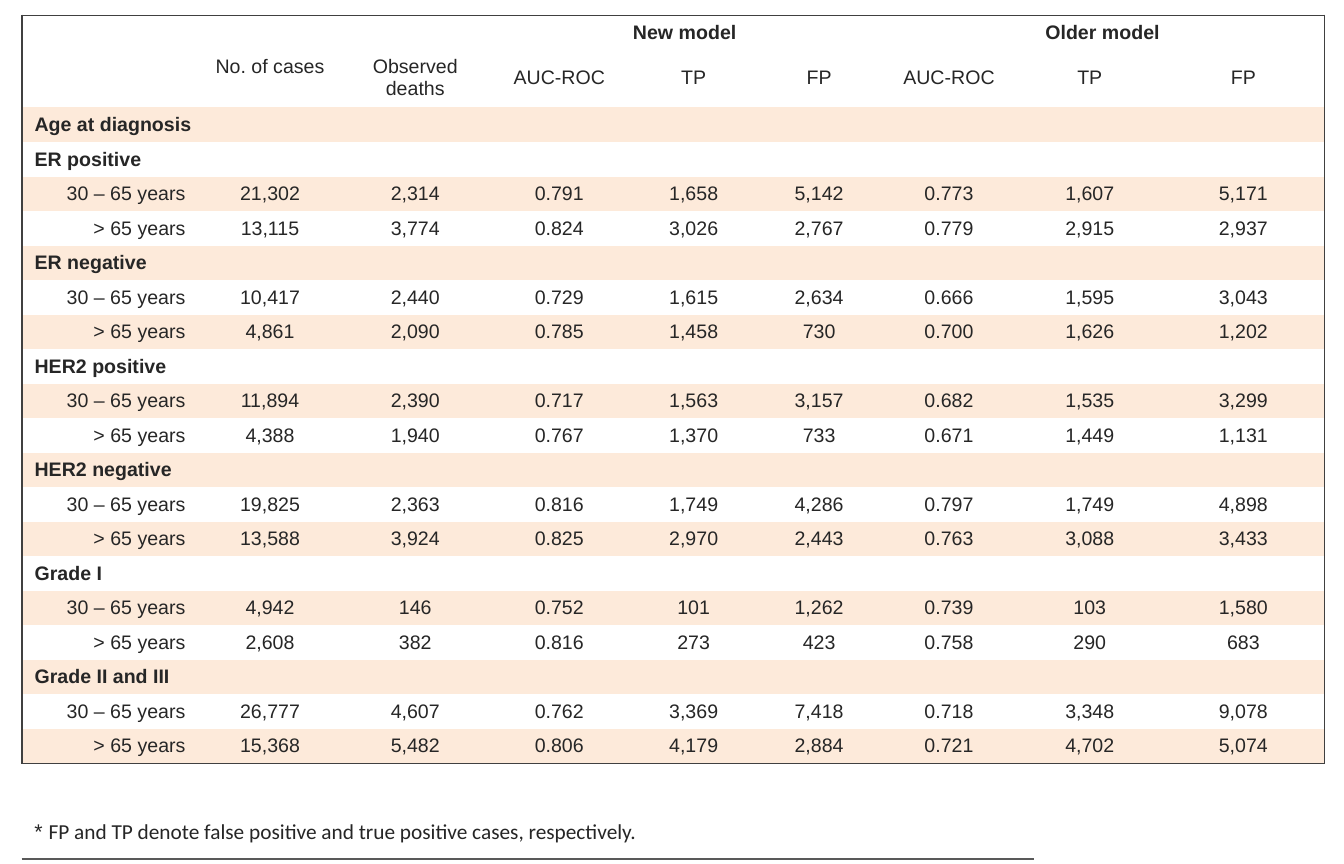
import dataclasses

import lxml.etree
import pptx
import pptx.dml.color
import pptx.enum.shapes
import pptx.enum.text
import pptx.oxml.ns
import pptx.util

Inches = pptx.util.Inches
Align = pptx.enum.text.PP_ALIGN
Anchor = pptx.enum.text.MSO_ANCHOR
qn = pptx.oxml.ns.qn


@dataclasses.dataclass(frozen=True)
class Theme:
    ink: str = "262626"
    band: str = "FDEADA"
    frame: str = "404040"
    rule: str = "595959"
    face: str = "Arial"
    note_face: str = "Calibri"
    size: int = 11
    note_size: int = 12
    edge: float = 1
    thin: float = 0.75


THEME = Theme()
LEFT = 0.17
WIDTHS = [1.38, 1.12, 1.15, 1.1, 1, 0.96, 1.07, 1.13, 1.27]
LAST = len(WIDTHS) - 1
PITCH = 0.27
HEAD = 0.45
NO_STYLE = "{2D5ABB26-0587-4C30-8999-92F81FD0307C}"
TOOLS = {3: "New model", 6: "Older model"}
SCORES = ["AUC-ROC", "TP", "FP"]
AGES = ["30 – 65 years", "> 65 years"]
GROUPS = {
    "ER positive": [
        "21,302 2,314 0.791 1,658 5,142 0.773 1,607 5,171",
        "13,115 3,774 0.824 3,026 2,767 0.779 2,915 2,937",
    ],
    "ER negative": [
        "10,417 2,440 0.729 1,615 2,634 0.666 1,595 3,043",
        "4,861 2,090 0.785 1,458 730 0.700 1,626 1,202",
    ],
    "HER2 positive": [
        "11,894 2,390 0.717 1,563 3,157 0.682 1,535 3,299",
        "4,388 1,940 0.767 1,370 733 0.671 1,449 1,131",
    ],
    "HER2 negative": [
        "19,825 2,363 0.816 1,749 4,286 0.797 1,749 4,898",
        "13,588 3,924 0.825 2,970 2,443 0.763 3,088 3,433",
    ],
    "Grade I": [
        "4,942 146 0.752 101 1,262 0.739 103 1,580",
        "2,608 382 0.816 273 423 0.758 290 683",
    ],
    "Grade II and III": [
        "26,777 4,607 0.762 3,369 7,418 0.718 3,348 9,078",
        "15,368 5,482 0.806 4,179 2,884 0.721 4,702 5,074",
    ],
}


def paint(fill, shade):
    fill.solid()
    fill.fore_color.rgb = pptx.dml.color.RGBColor.from_string(shade)


def style(run, face, size, bold=False):
    run.font.name = face
    run.font.size = pptx.util.Pt(size)
    run.font.bold = bold
    paint(run.font.fill, THEME.ink)


def write(cell, text, align=Align.CENTER, bold=False):
    cell.text_frame.text = text
    line = cell.text_frame.paragraphs[0]
    line.alignment = align
    for run in line.runs:
        style(run, THEME.face, THEME.size, bold)


def shrink(cell):
    line = cell.text_frame.paragraphs[0]
    if not line.runs:
        end = lxml.etree.SubElement(line._p, qn("a:endParaRPr"))
        end.set("sz", str(THEME.size * 100))


def border(cell, sides):
    props = cell._tc.get_or_add_tcPr()
    for side in sides:
        line = lxml.etree.SubElement(props, qn("a:ln" + side))
        line.set("w", str(pptx.util.Pt(THEME.edge)))
        fill = lxml.etree.SubElement(line, qn("a:solidFill"))
        lxml.etree.SubElement(fill, qn("a:srgbClr")).set("val", THEME.frame)


def finish(table):
    end = len(table.rows) - 1
    for row in range(end + 1):
        for col in range(LAST + 1):
            cell = table.cell(row, col)
            span = cell.span_width if cell.is_merge_origin else 1
            tests = {"L": col == 0, "R": col + span > LAST,
                     "T": row == 0, "B": row == end}
            border(cell, [side for side, hit in tests.items() if hit])
            if row > 1 and row % 2 == 0:
                paint(cell.fill, THEME.band)
            else:
                cell.fill.background()
            cell.vertical_anchor = Anchor.TOP if row == 1 else Anchor.MIDDLE
            cell.margin_top = Inches(0.05 if row == 1 else 0.04)
            cell.margin_bottom = Inches(0 if row == 1 else 0.04)
            shrink(cell)


def merge(table, row, first, last):
    table.cell(row, first).merge(table.cell(row, last))


def add_heads(table):
    for first in (0, 3, 6):
        merge(table, 0, first, first + 2)
    for col, name in TOOLS.items():
        write(table.cell(0, col), name, bold=True)
    heads = ["No. of cases", "Observed deaths"] + SCORES * 2
    for col, text in enumerate(heads, 1):
        cell = table.cell(1, col)
        write(cell, text)
        if text in SCORES:
            cell.text_frame.paragraphs[0].line_spacing = 1.5
    merge(table, 2, 0, LAST)
    write(table.cell(2, 0), "Age at diagnosis", Align.LEFT, True)


def add_group(table, row, name, lines):
    merge(table, row, 0, 1)
    merge(table, row, 2, LAST)
    write(table.cell(row, 0), name, Align.LEFT, True)
    for step, (age, line) in enumerate(zip(AGES, lines), 1):
        write(table.cell(row + step, 0), age, Align.RIGHT)
        for col, value in enumerate(line.split(), 1):
            write(table.cell(row + step, col), value)


def add_grid(slide):
    count = 3 + 3 * len(GROUPS)
    height = PITCH * (count - 1) + HEAD
    frame = slide.shapes.add_table(
        count, len(WIDTHS), Inches(LEFT), Inches(0.12),
        Inches(sum(WIDTHS)), Inches(height))
    table = frame.table
    table.first_row = table.horz_banding = False
    table._tbl.tblPr.find(qn("a:tableStyleId")).text = NO_STYLE
    for col, width in zip(table.columns, WIDTHS):
        col.width = Inches(width)
    for index, row in enumerate(table.rows):
        row.height = Inches(HEAD if index == 1 else PITCH)
    add_heads(table)
    for index, (name, lines) in enumerate(GROUPS.items()):
        add_group(table, 3 + 3 * index, name, lines)
    finish(table)


def add_note(slide):
    box = slide.shapes.add_textbox(
        Inches(LEFT), Inches(6.29), Inches(7.92), Inches(0.41))
    frame = box.text_frame
    frame.word_wrap = True
    frame.vertical_anchor = Anchor.MIDDLE
    frame.text = "* "
    line = frame.paragraphs[0]
    style(line.runs[0], THEME.face, THEME.note_size)
    run = line.add_run()
    run.text = ("FP and TP denote false positive and true positive cases, "
                "respectively.")
    style(run, THEME.note_face, THEME.note_size)


def add_rule(slide):
    rule = slide.shapes.add_connector(
        pptx.enum.shapes.MSO_CONNECTOR.STRAIGHT,
        Inches(LEFT), Inches(6.71), Inches(8.08), Inches(6.71))
    rule.line.width = pptx.util.Pt(THEME.thin)
    paint(rule.line.fill, THEME.rule)
    lxml.etree.SubElement(rule._element.spPr, qn("a:effectLst"))


def main():
    deck = pptx.Presentation()
    deck.slide_width = Inches(10.5)
    deck.slide_height = Inches(6.75)
    slide = deck.slides.add_slide(deck.slide_layouts[6])
    add_grid(slide)
    add_note(slide)
    add_rule(slide)
    deck.save("out.pptx")


main()
